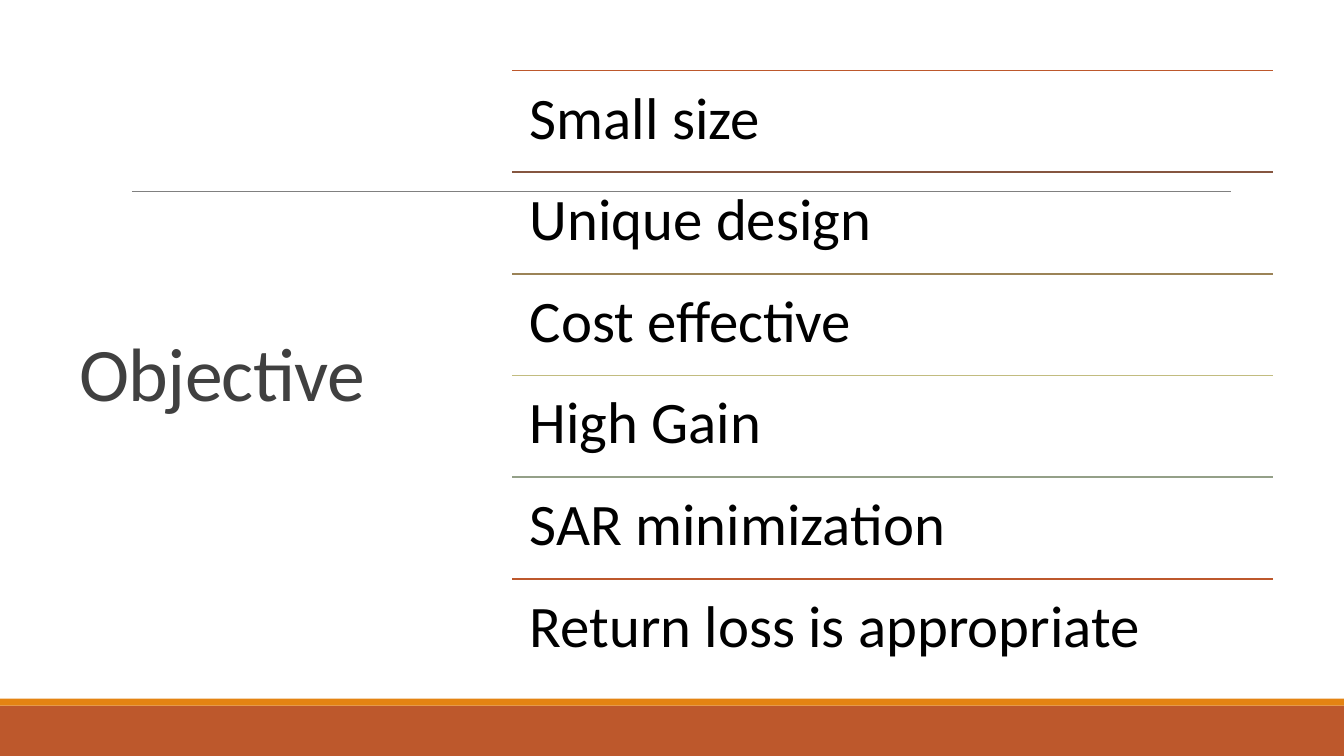
from dataclasses import dataclass

from lxml.etree import SubElement
from pptx import Presentation
from pptx.dml.color import RGBColor
from pptx.enum.shapes import MSO_CONNECTOR, MSO_SHAPE
from pptx.enum.text import MSO_ANCHOR
from pptx.oxml.ns import qn
from pptx.slide import Slide
from pptx.text.text import Font
from pptx.util import Pt

RUST = RGBColor(0xBD, 0x58, 0x2C)
ORANGE = RGBColor(0xE4, 0x83, 0x12)
BROWN = RGBColor(0x86, 0x56, 0x40)
TAN = RGBColor(0x9B, 0x83, 0x57)
SAND = RGBColor(0xC2, 0xBC, 0x80)
SAGE = RGBColor(0x94, 0xA0, 0x88)
GRAY = RGBColor(0x80, 0x80, 0x80)
DARK = RGBColor(0x40, 0x40, 0x40)
BLACK = RGBColor(0, 0, 0)

WIDTH, HEIGHT = 960, 540
LEFT, TOP, SPAN, STEP = 365.8, 50.4, 543.5, 72.6


@dataclass
class Goal:
    text: str
    color: RGBColor


@dataclass
class Band:
    top: float
    height: float
    color: RGBColor


@dataclass
class Label:
    text: str
    left: float
    top: float
    width: float
    height: float
    size: float
    color: RGBColor
    inset: tuple[float, float]
    spacing: float
    anchor: MSO_ANCHOR = MSO_ANCHOR.TOP


GOALS = [
    Goal("Small size", RUST),
    Goal("Unique design", BROWN),
    Goal("Cost effective", TAN),
    Goal("High Gain", SAND),
    Goal("SAR minimization", SAGE),
    Goal("Return loss is appropriate", RUST),
]
BANDS = [Band(504, 36, RUST), Band(499, 5, ORANGE)]


def add_band(slide: Slide, band: Band) -> None:
    shape = slide.shapes.add_shape(
        MSO_SHAPE.RECTANGLE, 0, Pt(band.top), Pt(WIDTH), Pt(band.height))
    shape.shadow.inherit = False
    shape.fill.solid()
    shape.fill.fore_color.rgb = band.color
    shape.line.fill.background()


def add_rule(slide: Slide, left: float, right: float, top: float,
             color: RGBColor, weight: float) -> None:
    rule = slide.shapes.add_connector(
        MSO_CONNECTOR.STRAIGHT, Pt(left), Pt(top), Pt(right), Pt(top))
    rule.line.color.rgb = color
    rule.line.width = Pt(weight)
    SubElement(rule._element.spPr, qn("a:effectLst"))


def add_label(slide: Slide, label: Label) -> Font:
    box = slide.shapes.add_textbox(
        Pt(label.left), Pt(label.top), Pt(label.width), Pt(label.height))
    frame = box.text_frame
    frame.text = label.text
    frame.word_wrap = True
    frame.vertical_anchor = label.anchor
    frame.margin_left = frame.margin_right = Pt(label.inset[0])
    frame.margin_top = frame.margin_bottom = Pt(label.inset[1])
    para = frame.paragraphs[0]
    para.line_spacing = label.spacing
    run = para.runs[0]
    run.font.name = "Calibri"
    run.font.size = Pt(label.size)
    run.font.color.rgb = label.color
    return run


def main() -> None:
    deck = Presentation()
    deck.slide_width, deck.slide_height = Pt(WIDTH), Pt(HEIGHT)
    slide = deck.slides.add_slide(deck.slide_layouts[6])

    # Footer bands and thin rule
    for band in BANDS:
        add_band(slide, band)
    add_rule(slide, 94.3, 879.1, 136.8, GRAY, 0.5)

    # Title, with slightly tightened letters
    title = add_label(slide, Label(
        "Objective", 49.7, TOP, 269.3, 440, 54, DARK, (7.2, 3.6), 0.85,
        MSO_ANCHOR.MIDDLE))
    title._r.get_or_add_rPr().set("spc", "-50")

    # Goals, each under its own line
    for index, goal in enumerate(GOALS):
        top = TOP + index * STEP
        add_rule(slide, LEFT, LEFT + SPAN, top, goal.color, 1.25)
        add_label(slide, Label(
            goal.text, LEFT, top, SPAN, STEP, 42, BLACK, (12.6, 12.6), 0.9))

    deck.save("out.pptx")


if __name__ == "__main__":
    main()
